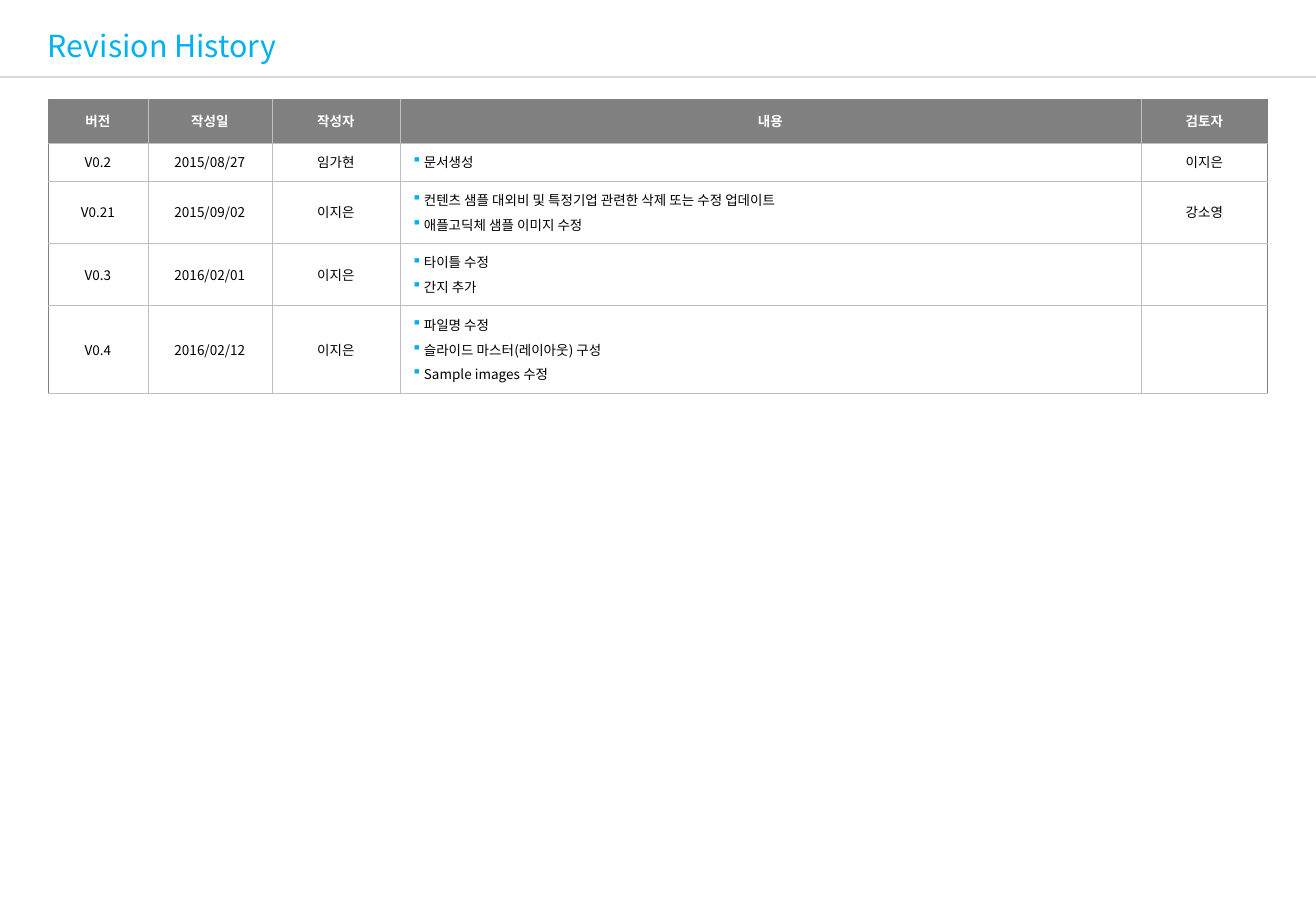
from lxml.etree import SubElement
from pptx import Presentation
from pptx.dml.color import RGBColor
from pptx.enum.shapes import MSO_CONNECTOR
from pptx.enum.text import MSO_ANCHOR, MSO_AUTO_SIZE, PP_ALIGN
from pptx.oxml.ns import qn
from pptx.util import Emu, Pt

SCALE = 7526  # EMU in one px
FONT = "Noto Sans CJK KR"
BLUE, GRAY, SILVER, PALE = "00B0F0", "808080", "BFBFBF", "D9D9D9"
WHITE, BLACK = "FFFFFF", "000000"

HEADS = ["버전", "작성일", "작성자", "내용", "검토자"]
WIDTHS = [100, 124, 128, 741, 127]
HEIGHTS = [44, 35, 57, 56, 78]
NOTES = HEADS.index("내용")
REVISIONS = [
    ["V0.2", "2015/08/27", "임가현", "문서생성", "이지은"],
    ["V0.21", "2015/09/02", "이지은",
     "컨텐츠 샘플 대외비 및 특정기업 관련한 삭제 또는 수정 업데이트\n애플고딕체 샘플 이미지 수정",
     "강소영"],
    ["V0.3", "2016/02/01", "이지은", "타이틀 수정\n간지 추가", ""],
    ["V0.4", "2016/02/12", "이지은",
     "파일명 수정\n슬라이드 마스터(레이아웃) 구성\nSample images 수정", ""],
]


def px(n):
    return Emu(n * SCALE)


def color(code):
    return RGBColor.from_string(code)


class Page:
    def __init__(self, deck):
        self.slide = deck.slides.add_slide(deck.slide_layouts[6])
        self.shapes = self.slide.shapes

    def style(self, para, size, code, bold=False):
        font = para.font
        font.name, font.size, font.bold = FONT, Pt(size), bold
        font.color.rgb = color(code)
        props = para._p.pPr.find(qn("a:defRPr"))
        SubElement(props, qn("a:ea")).set("typeface", FONT)
        if not para.text:
            # An empty cell takes its line height from the end mark.
            para._p.get_or_add_endParaRPr().set("sz", str(size * 100))

    def bullet(self, para):
        props = para._p.get_or_add_pPr()
        props.set("marL", str(px(12)))
        props.set("indent", str(px(-12)))
        tint = SubElement(props, qn("a:buClr"))
        SubElement(tint, qn("a:srgbClr")).set("val", BLUE)
        SubElement(props, qn("a:buChar")).set("char", "▪")

    def title(self, text, x, y, w, h):
        frame = self.shapes.add_textbox(px(x), px(y), px(w), px(h)).text_frame
        frame.word_wrap = False
        frame.auto_size = MSO_AUTO_SIZE.SHAPE_TO_FIT_TEXT
        frame.text = text
        self.style(frame.paragraphs[0], 18, BLUE)

    def rule(self, x, y, end):
        line = self.shapes.add_connector(
            MSO_CONNECTOR.STRAIGHT, px(x), px(y), px(end), px(y))
        line.line.color.rgb = color(PALE)
        line.line.width = Pt(0.75)
        SubElement(line._element.spPr, qn("a:effectLst"))

    def border(self, cell, side, outer):
        """Draw one side (L, R, T or B); outer sides are darker and thicker."""
        edge = SubElement(cell._tc.get_or_add_tcPr(), qn("a:ln" + side))
        edge.set("w", str(Pt(0.5 if outer else 0.25)))
        fill = SubElement(edge, qn("a:solidFill"))
        SubElement(fill, qn("a:srgbClr")).set("val", GRAY if outer else SILVER)

    def cell(self, cell, text, row, col):
        head, last = row == 0, col == len(HEADS) - 1
        notes = col == NOTES and not head
        for side, outer in zip("LRTB", (col == 0, last, head, False)):
            self.border(cell, side, outer)
        cell.fill.solid()
        cell.fill.fore_color.rgb = color(GRAY if head else WHITE)
        cell.vertical_anchor = MSO_ANCHOR.MIDDLE
        cell.margin_left = px(12 if head or notes or last else 6)
        cell.margin_right = px(12 if head or last else 6)
        cell.margin_top = cell.margin_bottom = px(12 if head else 9)
        cell.text = text
        for i, para in enumerate(cell.text_frame.paragraphs):
            if notes:
                if i:
                    para.space_before = Pt(3)
                self.bullet(para)
            else:
                para.alignment = PP_ALIGN.CENTER
            self.style(para, 8, WHITE if head else BLACK, head)

    def table(self, rows, x, y):
        table = self.shapes.add_table(
            len(rows), len(WIDTHS), px(x), px(y),
            px(sum(WIDTHS)), px(sum(HEIGHTS))).table
        table.horz_banding = False
        for column, width in zip(table.columns, WIDTHS):
            column.width = px(width)
        for r, (texts, height) in enumerate(zip(rows, HEIGHTS)):
            table.rows[r].height = px(height)
            for c, text in enumerate(texts):
                self.cell(table.cell(r, c), text, r, c)


def main():
    deck = Presentation()
    deck.slide_width, deck.slide_height = px(1316), px(911)
    page = Page(deck)
    page.rule(0, 77, 1316)
    page.table([HEADS] + REVISIONS, 48, 99)
    page.title("Revision History", 36, 21, 255, 49)
    deck.save("out.pptx")


if __name__ == "__main__":
    main()
